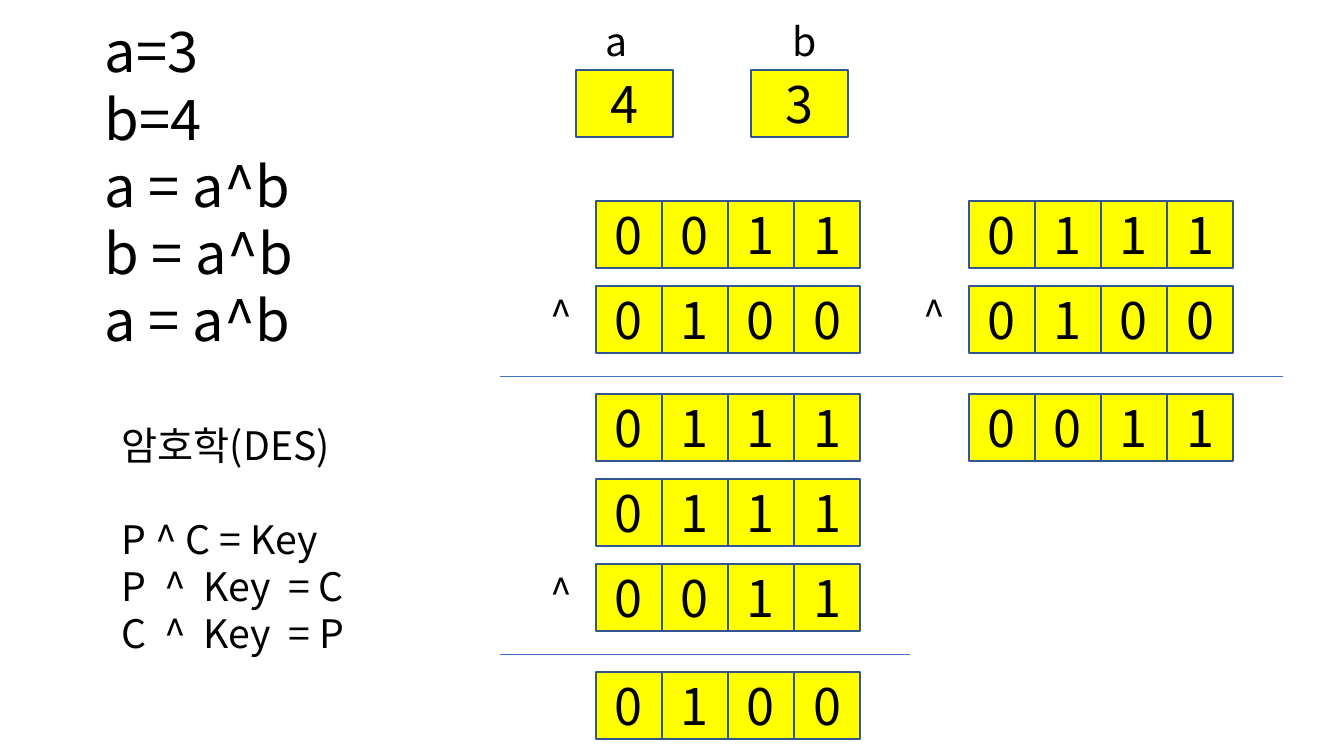
import pptx
import pptx.util
import pptx.dml.color
import pptx.enum.shapes
import pptx.enum.text
import pptx.oxml.ns
from lxml import etree

PX = 12192000 / 1344
FONT = "Noto Sans CJK KR"
BLACK = pptx.dml.color.RGBColor(0x00, 0x00, 0x00)
YELLOW = pptx.dml.color.RGBColor(0xFF, 0xFF, 0x00)
NAVY = pptx.dml.color.RGBColor(0x32, 0x54, 0x91)
BLUE = pptx.dml.color.RGBColor(0x44, 0x72, 0xC4)
qn = pptx.oxml.ns.qn

deck = pptx.Presentation()
deck.slide_width = round(1344 * PX)
deck.slide_height = round(756 * PX)
slide = deck.slides.add_slide(deck.slide_layouts[6])
shapes = slide.shapes


def write(shape, text, size):
    frame = shape.text_frame
    frame.text = text
    for para in frame.paragraphs:
        for run in para.runs:
            run.font.size = pptx.util.Pt(size)
            run.font.name = FONT
            run.font.color.rgb = BLACK
            east = etree.SubElement(run.font._element, qn("a:ea"))
            east.set("typeface", FONT)
    return frame


def add_cell(digit, x, y, wide):
    cell = shapes.add_shape(
        pptx.enum.shapes.MSO_SHAPE.RECTANGLE,
        *[round(n * PX) for n in (x, y, wide, 67)])
    cell.shadow.inherit = False
    cell.fill.solid()
    cell.fill.fore_color.rgb = YELLOW
    cell.line.color.rgb = NAVY
    cell.line.width = pptx.util.Pt(1)
    frame = write(cell, digit, 36)
    frame.vertical_anchor = pptx.enum.text.MSO_ANCHOR.MIDDLE
    frame.paragraphs[0].alignment = pptx.enum.text.PP_ALIGN.CENTER


# Values after the swap
add_cell("4", 576, 70, 97)
add_cell("3", 751, 70, 97)

# XOR sums: left, top and the three rows of bits
sums = [
    (596, 201, ("0011", "0100", "0111")),
    (969, 201, ("0111", "0100", "0011")),
    (596, 479, ("0111", "0011", "0100")),
]
labels = []
for left, top, rows in sums:
    for bits, drop in zip(rows, (0, 85, 193)):
        for col, bit in enumerate(bits):
            add_cell(bit, left + 66 * col, top + drop, 66)
    labels.append(("^", left - 55, top + 84, 48, 57, 28, False))
    start, level = round((left - 96) * PX), round((top + 175) * PX)
    rule = shapes.add_connector(
        pptx.enum.shapes.MSO_CONNECTOR.STRAIGHT,
        start, level, start + round(410 * PX), level)
    rule.line.color.rgb = BLUE
    rule.line.width = pptx.util.Pt(0.5)
    etree.SubElement(rule._element.spPr, qn("a:effectLst"))

# Code, names, operators and notes
code = "a=3\nb=4\na = a^b\nb = a^b\na = a^b"
notes = "암호학(DES)\nP ^ C = Key\nP  ^  Key  = C\nC  ^  Key  = P"
labels += [
    ("a", 596, 12, 41, 57, 28, False),
    ("b", 783, 12, 44, 57, 28, False),
    (code, 95, 12, 313, 350, 40, True),
    (notes, 112, 416, 284, 248, 28, False),
]
for text, x, y, wide, high, size, wrap in labels:
    box = shapes.add_textbox(*[round(n * PX) for n in (x, y, wide, high)])
    frame = write(box, text, size)
    frame.word_wrap = wrap
    frame.auto_size = pptx.enum.text.MSO_AUTO_SIZE.SHAPE_TO_FIT_TEXT
    if text == notes:
        frame.paragraphs[1].space_before = pptx.util.Pt(33.6)

deck.save("out.pptx")
